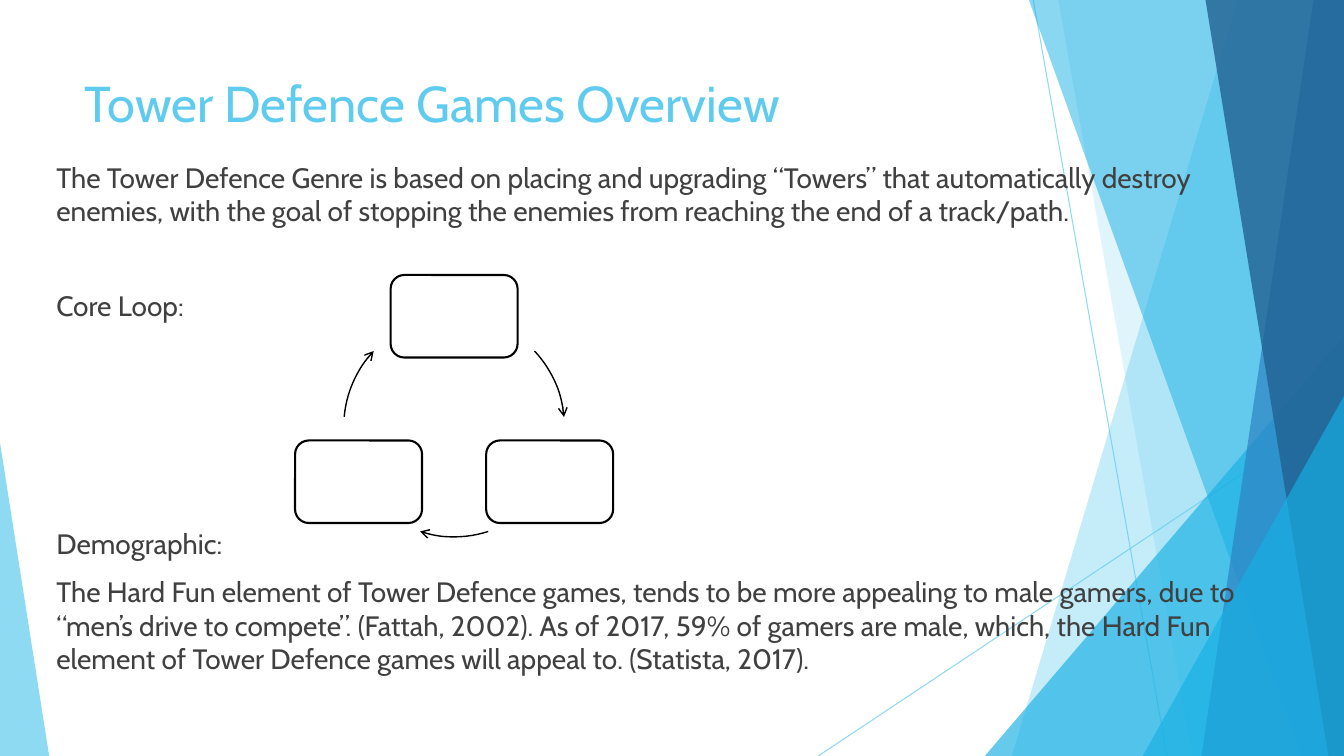
from math import cos, radians, sin

from lxml.etree import SubElement
from pptx import Presentation
from pptx.dml.color import RGBColor
from pptx.enum.shapes import MSO_CONNECTOR, MSO_SHAPE
from pptx.enum.text import MSO_ANCHOR, MSO_AUTO_SIZE, PP_ALIGN
from pptx.oxml.ns import qn
from pptx.util import Cm, Pt

SKY = RGBColor(0x5F, 0xCB, 0xEF)
CYAN = RGBColor(0x17, 0xB0, 0xE4)
BLUE = RGBColor(0x2E, 0x83, 0xC3)
NAVY = RGBColor(0x22, 0x62, 0x92)
GREY = RGBColor(0x40, 0x40, 0x40)
BLACK = RGBColor(0, 0, 0)
WHITE = RGBColor(0xFF, 0xFF, 0xFF)

WIDTH, HEIGHT = 33.87, 19.05

LINES = [(26.04, 0, 29.41, HEIGHT), (WIDTH, 10.24, 20.62, HEIGHT)]
FACETS = [
    ("band", 31.19, 25.5, SKY, 36),
    ("band", 26.67, 30.05, SKY, 20),
    ("corner", 24.82, 8.46, CYAN, 66),
    ("band", 25.93, 32.79, CYAN, 50),
    ("band", 33.1, 30.28, BLUE, 70),
    ("band", 30.38, 33.48, NAVY, 80),
    ("corner", 28.8, 9.98, CYAN, 66),
]

TITLE = "Tower Defence Games Overview"
BODY = [
    ("The Tower Defence Genre is based on placing and upgrading “Towers” that "
     "automatically destroy enemies, with the goal of stopping the enemies from "
     "reaching the end of a track/path.", 0),
    ("Core Loop:", 44),
    ("Demographic:", 146),
    ("The Hard Fun element of Tower Defence games, tends to be more appealing to "
     "male gamers, due to “men’s drive to compete”. (Fattah, 2002). As of 2017, "
     "59% of gamers are male, which, the Hard Fun element of Tower Defence games "
     "will appeal to. (Statista, 2017).", 10),
]

NODE_ANGLES = [-90, 30, 150]
ARROW_ANGLES = [(316.8, 355), (72, 108), (185, 223.2)]


def set_alpha(shape, percent):
    for clr in shape.element.spPr.iter(qn("a:srgbClr")):
        SubElement(clr, qn("a:alpha"), val=str(percent * 1000))


def paint(shape, color, alpha):
    shape.shadow.inherit = False
    shape.fill.solid()
    shape.fill.fore_color.rgb = color
    shape.line.fill.background()
    set_alpha(shape, alpha)


def add_triangle(s, left, top, width, height, apex):
    sp = s.shapes.add_shape(MSO_SHAPE.ISOSCELES_TRIANGLE,
                            Cm(left), Cm(top), Cm(width), Cm(height))
    sp.adjustments[0] = apex
    return sp


def add_band(s, top_x, bottom_x, right, bottom):
    fb = s.shapes.build_freeform(Cm(top_x), 0)
    corners = [(right, 0), (right, bottom), (bottom_x, bottom)]
    fb.add_line_segments([(Cm(x), Cm(y)) for x, y in corners], close=True)
    return fb.convert_to_shape()


def add_backdrop(s, width, height):
    for x1, y1, x2, y2 in LINES:
        line = s.shapes.add_connector(MSO_CONNECTOR.STRAIGHT,
                                      Cm(x1), Cm(y1), Cm(x2), Cm(y2))
        line.line.width = Pt(0.75)
        line.line.color.rgb = SKY
        set_alpha(line, 70)
        SubElement(line.element.spPr, qn("a:effectLst"))
    for kind, a, b, color, alpha in FACETS:
        if kind == "band":
            sp = add_band(s, a, b, width, height)
        else:
            sp = add_triangle(s, a, b, width - a, height - b, 1)
        paint(sp, color, alpha)
    paint(add_triangle(s, 0, 11.15, 1.24, height - 11.15, 0), SKY, 70)


def format_frame(tf):
    values = {"word_wrap": True, "auto_size": MSO_AUTO_SIZE.NONE,
              "vertical_anchor": MSO_ANCHOR.TOP}
    for name, value in values.items():
        setattr(tf, name, value)


def write(p, text, size, color):
    p.alignment = PP_ALIGN.LEFT
    r = p.add_run()
    r.text = text
    for name, value in {"name": "Cabin", "size": Pt(size)}.items():
        setattr(r.font, name, value)
    r.font.color.rgb = color


def add_title(s, left, top, width, height):
    sp = s.shapes.title
    box = {"left": left, "top": top, "width": width, "height": height}
    for name, value in box.items():
        setattr(sp, name, Cm(value))
    format_frame(sp.text_frame)
    write(sp.text_frame.paragraphs[0], TITLE, 36, SKY)


def add_body(s, left, top, width, height):
    tf = s.shapes.add_textbox(Cm(left), Cm(top), Cm(width), Cm(height)).text_frame
    format_frame(tf)
    for i, (text, space) in enumerate(BODY):
        p = tf.add_paragraph() if i else tf.paragraphs[0]
        p.space_before = Pt(space)
        write(p, text, 20, GREY)


def add_core_loop(s, left, top, width, diameter):
    node_w, node_h = 3.2, 2.08
    radius = diameter / 2
    cx, cy = left + width / 2, top + node_h / 2 + radius
    for node_angle, arrow_angles in zip(NODE_ANGLES, ARROW_ANGLES):
        x = cx + radius * cos(radians(node_angle)) - node_w / 2
        y = cy + radius * sin(radians(node_angle)) - node_h / 2
        node = s.shapes.add_shape(MSO_SHAPE.ROUNDED_RECTANGLE,
                                  Cm(x), Cm(y), Cm(node_w), Cm(node_h))
        node.fill.solid()
        node.fill.fore_color.rgb = WHITE
        arrow = s.shapes.add_shape(MSO_SHAPE.ARC, Cm(cx - radius), Cm(cy - radius),
                                   Cm(diameter), Cm(diameter))
        arrow.fill.background()
        for i, angle in enumerate(arrow_angles):
            arrow.adjustments[i] = angle * 0.6
        for sp, weight in ((node, 1.5), (arrow, 1)):
            sp.shadow.inherit = False
            sp.line.color.rgb = BLACK
            sp.line.width = Pt(weight)
        SubElement(arrow.element.spPr.find(qn("a:ln")), qn("a:tailEnd"), type="arrow")


def main():
    prs = Presentation()
    prs.slide_width, prs.slide_height = Cm(WIDTH), Cm(HEIGHT)
    s = prs.slides.add_slide(prs.slide_layouts[5])
    add_backdrop(s, WIDTH, HEIGHT)
    add_title(s, 1.88, 1.7, 23.88, 3.66)
    add_body(s, 1.17, 3.91, 30.35, 14.5)
    add_core_loop(s, 7.44, 6.93, 8.01, 5.56)
    prs.save("out.pptx")


if __name__ == "__main__":
    main()
